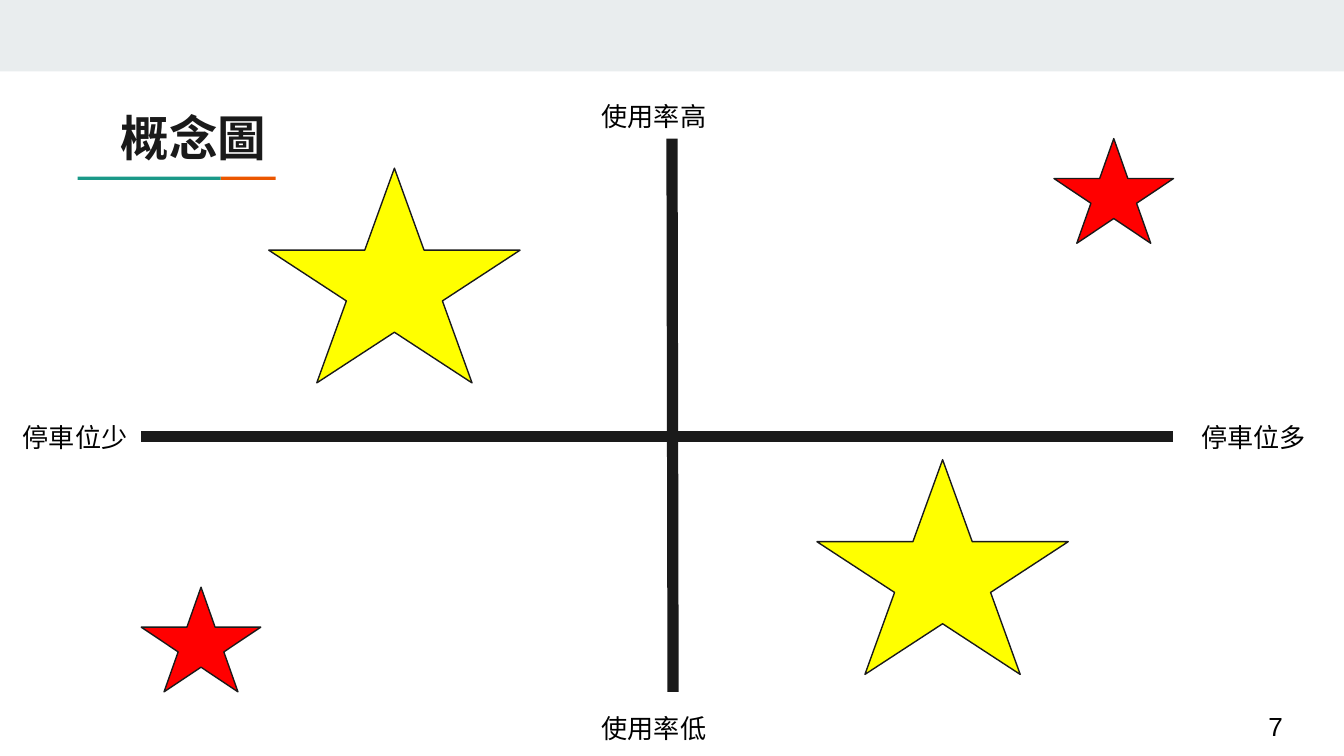
from pptx import Presentation
from pptx.dml.color import RGBColor
from pptx.enum.shapes import MSO_CONNECTOR, MSO_SHAPE
from pptx.enum.text import MSO_ANCHOR, MSO_AUTO_SIZE, PP_ALIGN
from pptx.oxml.ns import qn
from pptx.util import Cm, Pt
from lxml import etree

RECT, STAR = MSO_SHAPE.RECTANGLE, MSO_SHAPE.STAR_5_POINT
STRAIGHT = MSO_CONNECTOR.STRAIGHT
TOP, MIDDLE, LEFT = MSO_ANCHOR.TOP, MSO_ANCHOR.MIDDLE, PP_ALIGN.LEFT
NO_FIT = MSO_AUTO_SIZE.NONE

THEME = {
    "ink": "1A1A1A", "text": "000000", "band": "E9EDEE",
    "teal": "1A9988", "orange": "EB5600", "yellow": "FFFF00", "red": "FF0000",
    "title_font": "Manrope", "body_font": "Arial",
    "title_size": 26, "body_size": 14, "axis_width": 6, "outline": 0.75,
}

# Content: positions and sizes in cm
SLIDE_W, SLIDE_H = 25.4, 14.29
TITLE = ("概念圖", (2.03, 1.8, 21.36, 1.5))
BARS = [  # box, colour
    ((0, 0, SLIDE_W, 1.35), "band"),
    ((4.17, 3.34, 1.04, 0.06), "orange"),
    ((1.47, 3.34, 2.7, 0.06), "teal"),
]
AXES = [(2.67, 8.25, 22.17, 8.25), (12.7, 2.62, 12.72, 13.08)]
LABELS = [  # text, box, anchor
    ("停車位多", (22.45, 7.72, 2.8, 1.3), TOP),
    ("停車位少", (0.18, 7.72, 2.5, 0.81), TOP),
    ("使用率高", (11.12, 1.65, 3.15, 0.81), TOP),
    ("使用率低", (11.12, 13.21, 3.15, 0.81), TOP),
    ("7", (23.72, 13.18, 1.52, 1.09), MIDDLE),
]
BIG, SMALL = (4.75, 4.06), (2.26, 1.98)
STARS = [  # left and top, size, colour
    ((15.44, 8.69), BIG, "yellow"),
    ((5.08, 3.18), BIG, "yellow"),
    ((19.92, 2.62), SMALL, "red"),
    ((2.67, 11.1), SMALL, "red"),
]


def color(name):
    return RGBColor.from_string(THEME[name])


def cm(values):
    return [Cm(v) for v in values]


def add_figure(slide, kind, box, fill, outlined=False):
    sp = slide.shapes.add_shape(kind, *cm(box))
    sp.shadow.inherit = False
    sp.fill.solid()
    sp.fill.fore_color.rgb = color(fill)
    if outlined:
        sp.line.color.rgb = color("ink")
        sp.line.width = Pt(THEME["outline"])
    else:
        sp.line.fill.background()


def add_axis(slide, ends):
    line = slide.shapes.add_connector(STRAIGHT, *cm(ends))
    line.line.color.rgb = color("ink")
    line.line.width = Pt(THEME["axis_width"])
    etree.SubElement(line._element.spPr, qn("a:effectLst"))


def write(sp, text, role, ink, anchor=TOP, bold=False):
    tf = sp.text_frame
    tf.text = text
    tf.word_wrap = True
    tf.auto_size = NO_FIT
    tf.vertical_anchor = anchor
    tf.margin_left = tf.margin_right = tf.margin_top = tf.margin_bottom = Cm(0.25)
    p = tf.paragraphs[0]
    p.alignment = LEFT
    font = p.runs[0].font
    font.name = THEME[role + "_font"]
    font.size = Pt(THEME[role + "_size"])
    font.bold = bold
    font.color.rgb = color(ink)


prs = Presentation()
prs.slide_width, prs.slide_height = Cm(SLIDE_W), Cm(SLIDE_H)
slide = prs.slides.add_slide(prs.slide_layouts[5])

# Title
title = slide.shapes.title
text, box = TITLE
title.left, title.top, title.width, title.height = cm(box)
write(title, text, "title", "ink", bold=True)

# Top band and title underline
for box, fill in BARS:
    add_figure(slide, RECT, box, fill)

# Axes and their labels, with the page number
for ends in AXES:
    add_axis(slide, ends)
for text, box, anchor in LABELS:
    write(slide.shapes.add_textbox(*cm(box)), text, "body", "text", anchor)

# Stars in the four quadrants
for corner, size, fill in STARS:
    add_figure(slide, STAR, corner + size, fill, outlined=True)

prs.save("out.pptx")
